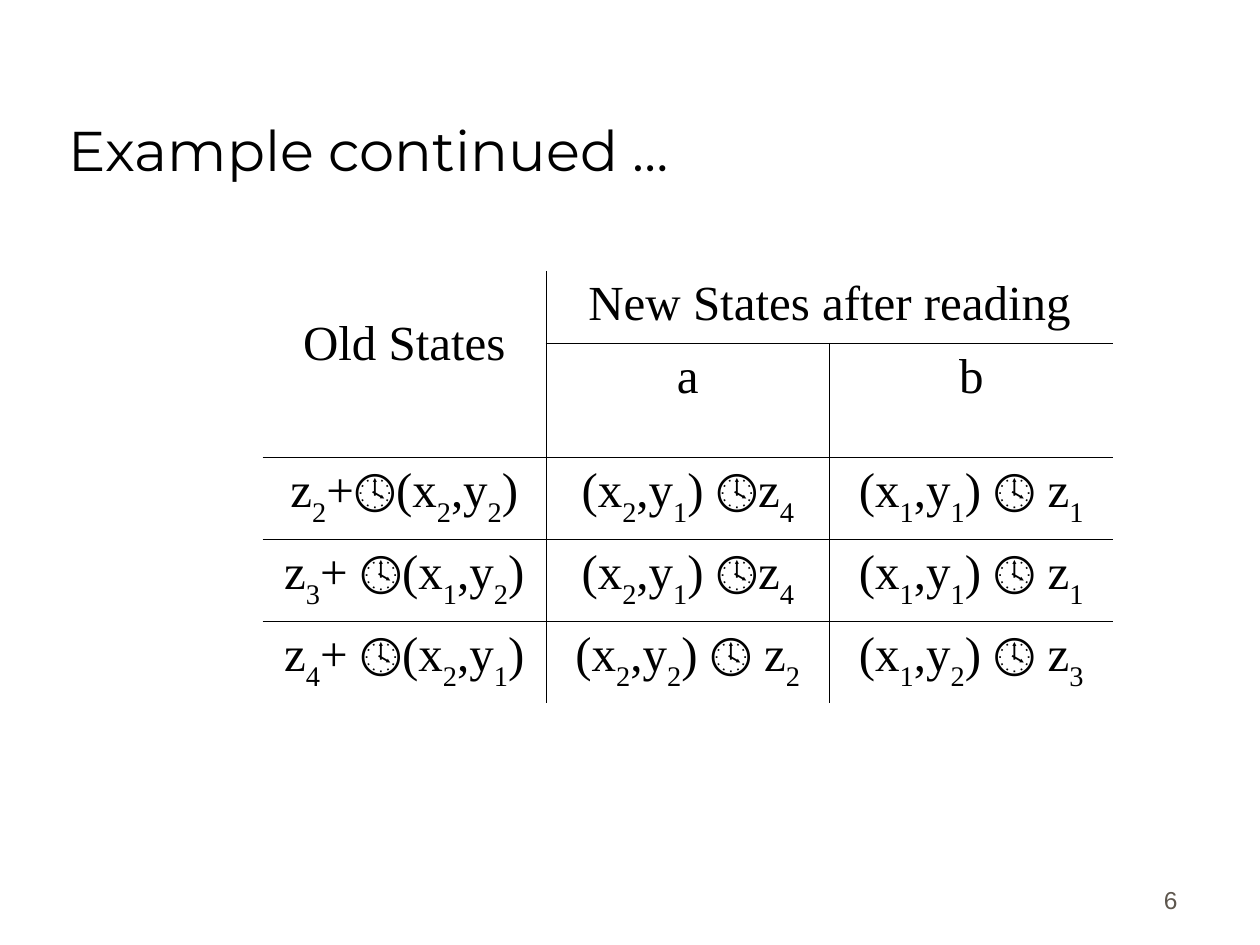
from dataclasses import dataclass
from itertools import groupby

from lxml.etree import SubElement
from pptx import Presentation
from pptx.dml.color import RGBColor
from pptx.enum.text import MSO_ANCHOR, PP_ALIGN
from pptx.oxml.ns import qn
from pptx.util import Pt


@dataclass(frozen=True)
class Theme:
    """Fonts, colours and sizes used on the slide."""
    ink: str = "000000"
    muted: str = "5E574E"
    title_font: str = "Montserrat"
    table_font: str = "Times New Roman"
    symbol_font: str = "Cambria"
    number_font: str = "Arial"
    title_size: float = 32
    table_size: float = 28
    number_size: float = 14
    rule: float = 0.45


THEME = Theme()
CLOCK = "🕓"
COLUMNS = 3
ROW_HEIGHTS = [41.4, 65.1, 46.9, 46.9, 46.9]
HEADERS = {(0, 0): "Old States", (0, 1): "New States after reading", (1, 1): "a", (1, 2): "b"}
TRANSITIONS = [
    ["z2+🕓(x2,y2)", "(x2,y1) 🕓z4", "(x1,y1) 🕓 z1"],
    ["z3+ 🕓(x1,y2)", "(x2,y1) 🕓z4", "(x1,y1) 🕓 z1"],
    ["z4+ 🕓(x2,y1)", "(x2,y2) 🕓 z2", "(x1,y2) 🕓 z3"],
]


def style(p, font, size, color, align):
    """Format a whole paragraph."""
    p.alignment = align
    p.font.name = font
    p.font.size = Pt(size)
    p.font.color.rgb = RGBColor.from_string(color)


def place(sp, box):
    """Move a shape to a box given in points."""
    sp.left, sp.top, sp.width, sp.height = (Pt(v) for v in box)


def add_title(s, box, text):
    """Fill the title placeholder."""
    sp = s.shapes.title
    place(sp, box)
    tf = sp.text_frame
    tf.text = text
    tf.vertical_anchor = MSO_ANCHOR.BOTTOM
    style(tf.paragraphs[0], THEME.title_font, THEME.title_size, THEME.ink, PP_ALIGN.LEFT)


def add_number(s, box, text):
    """Write the slide number at the foot of its box."""
    tf = s.shapes.add_textbox(*(Pt(v) for v in box)).text_frame
    tf.word_wrap = True
    tf.vertical_anchor = MSO_ANCHOR.BOTTOM
    tf.text = text
    style(tf.paragraphs[0], THEME.number_font, THEME.number_size, THEME.muted, PP_ALIGN.RIGHT)


def kind(char):
    """Classify a character of a state formula."""
    return "sub" if char.isdigit() else "symbol" if char == CLOCK else "plain"


def write_formula(cell, text):
    """Write a centred formula with lowered digits."""
    p = cell.text_frame.paragraphs[0]
    style(p, THEME.table_font, THEME.table_size, THEME.ink, PP_ALIGN.CENTER)
    for part, chars in groupby(text, kind):
        r = p.add_run()
        r.text = "".join(chars)
        r.font.size = Pt(THEME.table_size)
        r.font.name = THEME.symbol_font if part == "symbol" else THEME.table_font
        r.font.color.rgb = RGBColor.from_string(THEME.ink)
        if part == "sub":
            r.font._element.set("baseline", "-30000")


def set_borders(cell, sides):
    """Draw the named sides of a cell and clear the others."""
    tcPr = cell._tc.get_or_add_tcPr()
    for side in "LRTB":
        ln = SubElement(tcPr, qn(f"a:ln{side}"), w=str(Pt(THEME.rule)))
        if side in sides:
            fill = SubElement(ln, qn("a:solidFill"))
            SubElement(fill, qn("a:srgbClr"), val=THEME.ink)
        else:
            SubElement(ln, qn("a:noFill"))
    cell.fill.background()


def inner_sides(cell, row, col):
    """Return the sides of a cell that lie inside the grid."""
    inside = {
        "L": col > 0 and not cell.is_spanned,
        "T": row > 0 and not cell.is_spanned,
        "R": col + cell.span_width < COLUMNS,
        "B": row + cell.span_height < len(ROW_HEIGHTS),
    }
    return [side for side, shown in inside.items() if shown]


def add_transitions(s, box):
    """Build the state transition table."""
    frame = s.shapes.add_table(len(ROW_HEIGHTS), COLUMNS, *(Pt(v) for v in box))
    table = frame.table
    table.first_row = table.horz_banding = False
    for column in table.columns:
        column.width = Pt(box[2] / COLUMNS)
    for row, height in zip(table.rows, ROW_HEIGHTS):
        row.height = Pt(height)
    table.cell(0, 0).merge(table.cell(1, 0))
    table.cell(0, 1).merge(table.cell(0, 2))
    texts = dict(HEADERS)
    for r, formulas in enumerate(TRANSITIONS, 2):
        texts.update({(r, c): text for c, text in enumerate(formulas)})
    for r in range(len(ROW_HEIGHTS)):
        for c in range(COLUMNS):
            cell = table.cell(r, c)
            set_borders(cell, inner_sides(cell, r, c))
            if (r, c) in texts:
                write_formula(cell, texts[r, c])
    table.cell(0, 0).margin_top = Pt(26)


def main():
    """Build and save the slide."""
    prs = Presentation()
    prs.slide_width, prs.slide_height = Pt(720), Pt(540)
    s = prs.slides.add_slide(prs.slide_layouts[5])
    add_number(s, (530, 490.3, 150, 36), "6")
    add_title(s, (32, 18, 612, 90), "Example continued …")
    add_transitions(s, (150, 154.8, 486, sum(ROW_HEIGHTS)))
    prs.save("out.pptx")


if __name__ == "__main__":
    main()
